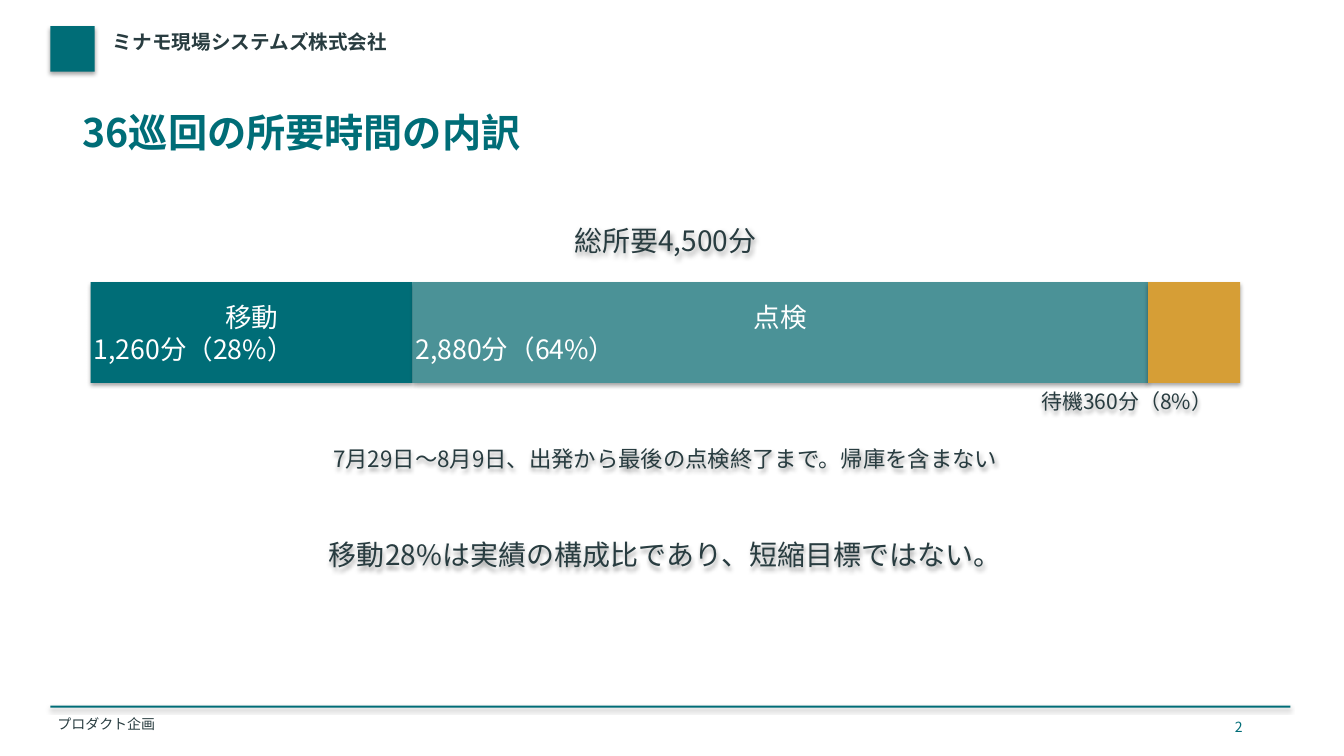
from pptx import Presentation
from pptx.dml.color import RGBColor
from pptx.enum import shapes, text
from pptx.oxml import ns
from pptx.util import Inches, Pt
from lxml import etree

# Content
FIRM = "ミナモ現場システムズ株式会社"
TITLE = "36巡回の所要時間の内訳"
TEAM, PAGE = "プロダクト企画", "2"

FONT = "Noto Sans CJK JP"
TEAL = RGBColor(0x00, 0x6D, 0x77)
SOFT = RGBColor(0x4B, 0x92, 0x97)
GOLD = RGBColor(0xD6, 0x9E, 0x36)
INK = RGBColor(0x28, 0x3C, 0x40)
WHITE = RGBColor(0xFF, 0xFF, 0xFF)

# Minutes, colour, label
PARTS = [
    (1260, TEAL, "移動\n1,260分（28%）"),
    (2880, SOFT, "点検\n2,880分（64%）"),
    (360, GOLD, ""),
]
LEFT, WIDTH = 0.9, 11.4
BAR_TOP, BAR_HIGH = 2.8, 1

# Left, top, width, height, size, wording
NOTES = [
    (LEFT, 2.18, WIDTH, 0.4, 20, "総所要4,500分"),
    (10.05, 3.8, 2.25, 0.36, 15, "待機360分（8%）"),
    (LEFT, 4.2, WIDTH, 0.7, 16,
     "7月29日〜8月9日、出発から最後の点検終了まで。帰庫を含まない"),
    (LEFT, 5.15, WIDTH, 0.7, 20,
     "移動28%は実績の構成比であり、短縮目標ではない。"),
]
# Left, top, width, height, inset, size, colour, bold, wording
LABELS = [
    (1.1, 0.28, 10, 0.4, 0.02, 14, INK, True, FIRM),
    (0.55, 7.08, 9, 0.22, 0.02, 10, INK, False, TEAM),
    (12.15, 7.08, 0.5, 0.22, 0.1, 10, TEAL, False, PAGE),
]


def write(shape, words, size, color, bold=False):
    frame = shape.text_frame
    frame.word_wrap = True
    frame.text = words
    for para in frame.paragraphs:
        for run in para.runs:
            font = run.font
            font.name, font.size, font.bold = FONT, Pt(size), bold
            font.color.rgb = color
            east = etree.SubElement(run._r.rPr, ns.qn("a:ea"))
            east.set("typeface", FONT)
    return frame


def inset(frame, side, edge):
    frame.margin_left = frame.margin_right = Inches(side)
    frame.margin_top = frame.margin_bottom = Inches(edge)


def block(slide, box, fill=None):
    """Add a borderless rectangle that keeps the theme shadow."""
    shape = slide.shapes.add_shape(
        shapes.MSO_SHAPE.RECTANGLE, *map(Inches, box))
    shape.line.fill.background()
    if fill is None:
        shape.fill.background()
    else:
        shape.fill.solid()
        shape.fill.fore_color.rgb = fill
    return shape


def main():
    deck = Presentation()
    deck.slide_width, deck.slide_height = Inches(13.33), Inches(7.5)
    slide = deck.slides.add_slide(deck.slide_layouts[5])

    # Emblem block and footer rule
    block(slide, (0.5, 0.26, 0.44, 0.45), TEAL)
    block(slide, (0.5, 7, 12.3, 0.02), TEAL)

    # Title
    title = slide.shapes.title
    title.left, title.top = Inches(0.8), Inches(1.05)
    title.width, title.height = Inches(11.7), Inches(0.75)
    frame = write(title, TITLE, 28, TEAL, True)
    inset(frame, 0.02, 0.02)
    frame.auto_size = text.MSO_AUTO_SIZE.NONE
    frame.vertical_anchor = text.MSO_ANCHOR.TOP
    frame.paragraphs[0].alignment = text.PP_ALIGN.LEFT

    # Header and footer labels
    for *box, side, size, color, bold, words in LABELS:
        label = slide.shapes.add_textbox(*map(Inches, box))
        frame = write(label, words, size, color, bold)
        inset(frame, side, side / 2 if side > 0.02 else side)

    # Stacked bar, widths in proportion to minutes
    total = sum(part[0] for part in PARTS)
    left = LEFT
    for mins, fill, words in PARTS:
        wide = WIDTH * mins / total
        bar = block(slide, (left, BAR_TOP, wide, BAR_HIGH), fill)
        left += wide
        if words:
            frame = write(bar, words, 19, WHITE)
            inset(frame, 0.03, 0.02)
            frame.paragraphs[0].alignment = text.PP_ALIGN.CENTER
            frame.paragraphs[1].alignment = text.PP_ALIGN.LEFT

    # Captions
    for *box, size, words in NOTES:
        frame = write(block(slide, box), words, size, INK)
        frame.vertical_anchor = text.MSO_ANCHOR.MIDDLE
        frame.paragraphs[0].alignment = text.PP_ALIGN.CENTER

    deck.save("out.pptx")


if __name__ == "__main__":
    main()
